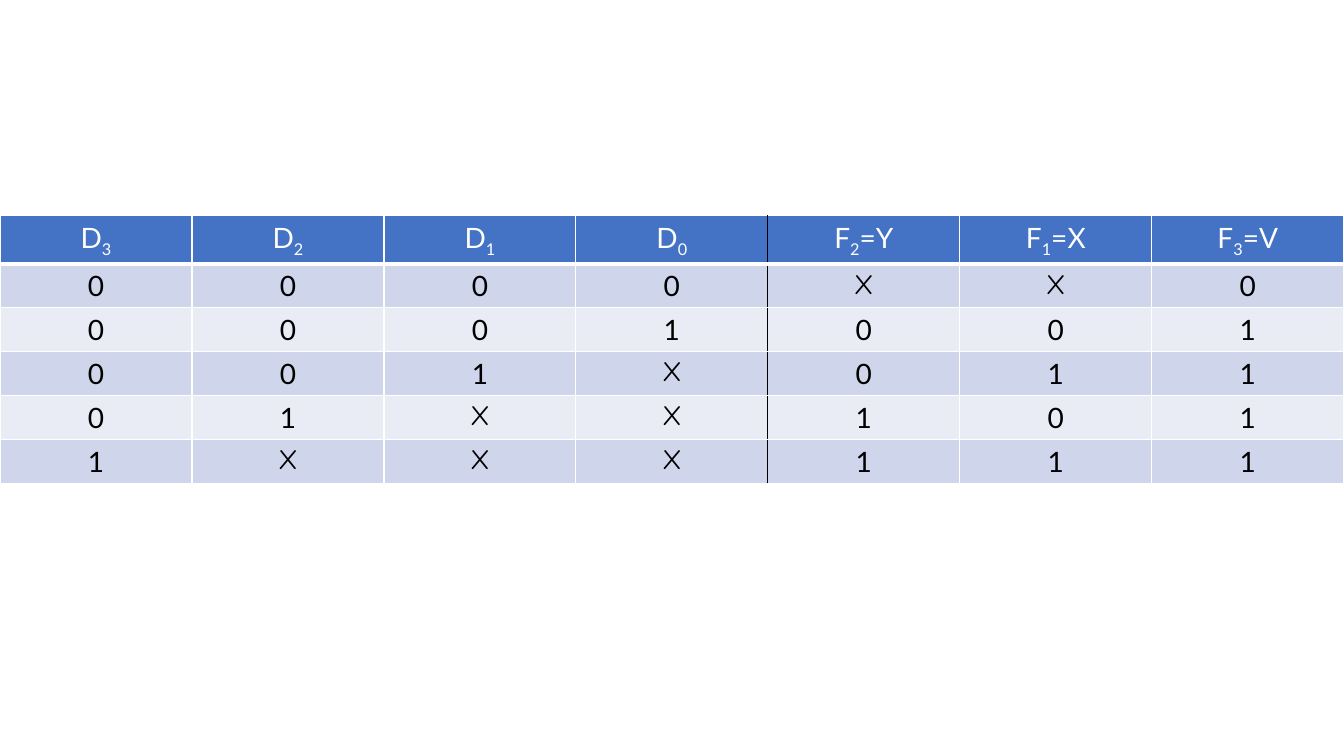
import pptx
import pptx.util
import pptx.dml.color
import pptx.enum.text
import pptx.oxml.ns
import lxml.etree
from dataclasses import dataclass

HEADS = [("D", "3"), ("D", "2"), ("D", "1"), ("D", "0"),
         ("F", "2", "=Y"), ("F", "1", "=X"), ("F", "3", "=V")]
ROWS = ["0000XX0", "0001001", "001X011", "01XX101", "1XXX111"]
INPUTS = 4
WIDE, HIGH = 13.33, 7.5
TOP = 0.285
ROW = 0.35


@dataclass(frozen=True)
class Theme:
    head: str = "4472C4"
    bands: tuple = ("CFD5EA", "E9EBF5")
    white: str = "FFFFFF"
    black: str = "000000"
    font: str = "Lato"
    cross: str = "Comic Neue"
    size: int = 20
    sub: int = -25000
    thin: int = 1
    thick: int = 3


THEME = Theme()


def add_run(para, text, color, font=THEME.font, low=False):
    run = para.add_run()
    run.text = text
    run.font.size = pptx.util.Pt(THEME.size)
    run.font.name = font
    run.font.bold = False
    run.font.color.rgb = pptx.dml.color.RGBColor.from_string(color)
    if low:
        run.font._element.set("baseline", str(THEME.sub))


def add_edge(cell, side, color, width):
    qn = pptx.oxml.ns.qn
    props = cell._tc.get_or_add_tcPr()
    line = lxml.etree.SubElement(props, qn("a:ln" + side),
                                 w=str(pptx.util.Pt(width)))
    fill = lxml.etree.SubElement(line, qn("a:solidFill"))
    lxml.etree.SubElement(fill, qn("a:srgbClr"), val=color)


def style(cell, row, col):
    left = THEME.black if col == INPUTS else THEME.white
    right = THEME.black if col == INPUTS - 1 else THEME.white
    above = THEME.thick if row == 1 else THEME.thin
    below = THEME.thick if row == 0 else THEME.thin
    add_edge(cell, "L", left, THEME.thin)
    add_edge(cell, "R", right, THEME.thin)
    add_edge(cell, "T", THEME.white, above)
    add_edge(cell, "B", THEME.white, below)
    color = THEME.bands[(row - 1) % 2] if row else THEME.head
    cell.fill.solid()
    cell.fill.fore_color.rgb = pptx.dml.color.RGBColor.from_string(color)


def main():
    deck = pptx.Presentation()
    deck.slide_width = pptx.util.Inches(WIDE)
    deck.slide_height = pptx.util.Inches(HIGH)
    slide = deck.slides.add_slide(deck.slide_layouts[6])
    lines = [HEADS] + ROWS
    table = slide.shapes.add_table(
        len(lines), len(HEADS), 0, pptx.util.Inches(TOP * HIGH),
        deck.slide_width, pptx.util.Inches(ROW * len(lines))).table
    for row, line in enumerate(lines):
        for col, parts in enumerate(line):
            cell = table.cell(row, col)
            style(cell, row, col)
            para = cell.text_frame.paragraphs[0]
            para.alignment = pptx.enum.text.PP_ALIGN.CENTER
            for step, text in enumerate(parts):
                if row == 0:
                    add_run(para, text, THEME.white, low=step == 1)
                else:
                    font = THEME.cross if text == "X" else THEME.font
                    add_run(para, text, THEME.black, font)
    deck.save("out.pptx")


if __name__ == "__main__":
    main()
